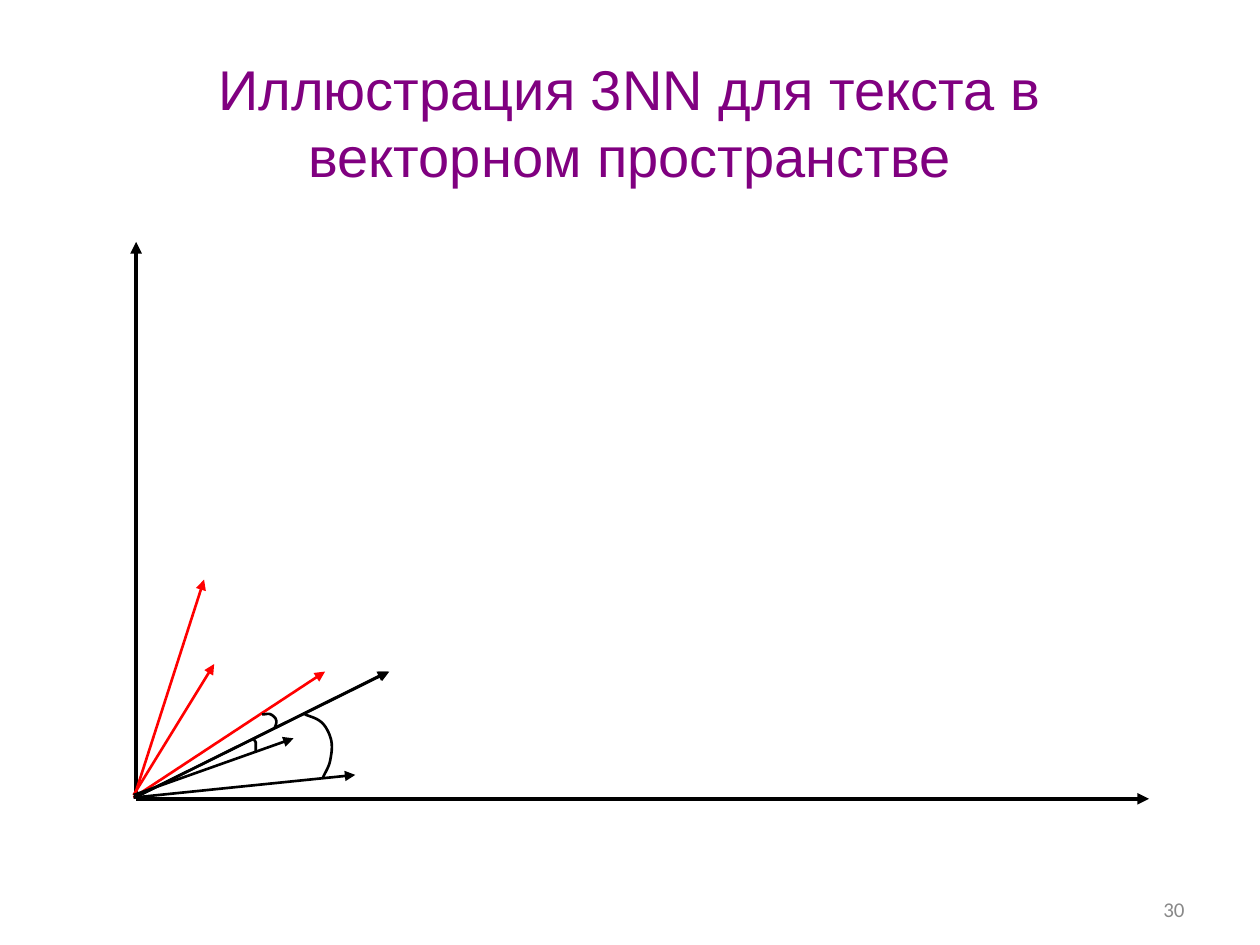
from lxml import etree
from pptx import Presentation
from pptx import util as u
from pptx.dml.color import RGBColor
from pptx.enum import shapes, text
from pptx.oxml.ns import qn

COLORS = {"title": "800080", "black": "000000", "red": "FF0000", "number": "898989"}
STEPS = 12  # straight pieces per curve segment

prs = Presentation()
prs.slide_width, prs.slide_height = u.Inches(10), u.Inches(7.5)
slide = prs.slides.add_slide(prs.slide_layouts[6])


def add_text(words, box, size, font, color, align, anchor):
    tf = slide.shapes.add_textbox(*map(u.Inches, box)).text_frame
    tf.word_wrap = True
    tf.vertical_anchor = anchor
    p = tf.paragraphs[0]
    p.text = words
    p.alignment = align
    p.font.size = u.Pt(size)
    p.font.name = font
    p.font.color.rgb = RGBColor.from_string(COLORS[color])


def add_arrow(start, end, color, width):
    line = slide.shapes.add_connector(
        shapes.MSO_CONNECTOR.STRAIGHT, *map(u.Inches, (*start, *end)))
    line.line.color.rgb = RGBColor.from_string(COLORS[color])
    line.line.width = u.Pt(width)
    etree.SubElement(line.line._get_or_add_ln(), qn("a:tailEnd"), type="triangle")
    etree.SubElement(line._element.spPr, qn("a:effectLst"))


add_text("30", (7.17, 7.08, 2.33, 0.27), 12, "Calibri", "number",
         text.PP_ALIGN.RIGHT, text.MSO_ANCHOR.MIDDLE)
add_text("Иллюстрация 3NN для текста в векторном пространстве",
         (0.5, 0.3, 9, 1.25), 32, "Arial", "title",
         text.PP_ALIGN.CENTER, text.MSO_ANCHOR.BOTTOM)

# Axes
add_arrow((1.08, 6.33), (1.08, 1.92), "black", 2.25)
add_arrow((1.08, 6.34), (9.12, 6.34), "black", 2.25)

# Document vectors by class, then the query vector, drawn twice for weight
vectors = [
    ((1.07, 6.31), (1.62, 4.6), "red"),
    ((1.06, 6.31), (1.7, 5.27), "red"),
    ((1.06, 6.33), (2.58, 5.33), "red"),
    ((1.06, 6.33), (2.82, 6.15), "black"),
    ((1.06, 6.31), (2.33, 5.86), "black"),
    ((1.07, 6.33), (3.08, 5.33), "black"),
    ((1.07, 6.33), (3.09, 5.33), "black"),
]
for start, end, color in vectors:
    add_arrow(start, end, color, 1.5)

# Angle marks: a start point, then cubic segments (two controls and an end)
angle_marks = [
    [(2.01, 5.86), (2.02, 5.87), (2.02, 5.88), (2.03, 5.89),
     (2.03, 5.91), (2.03, 5.94), (2.03, 5.97)],
    [(2.08, 5.67), (2.11, 5.67), (2.13, 5.66), (2.15, 5.67),
     (2.17, 5.68), (2.19, 5.7), (2.19, 5.71),
     (2.2, 5.73), (2.19, 5.75), (2.18, 5.78)],
    [(2.42, 5.67), (2.47, 5.69), (2.52, 5.7), (2.56, 5.74),
     (2.59, 5.77), (2.62, 5.83), (2.63, 5.88),
     (2.64, 5.93), (2.63, 5.99), (2.62, 6.04),
     (2.61, 6.09), (2.58, 6.13), (2.56, 6.18)],
]
for mark in angle_marks:
    points = [tuple(map(u.Inches, mark[0]))]
    for i in range(0, len(mark) - 1, 3):
        for step in range(1, STEPS + 1):
            t = step / STEPS
            weights = ((1 - t) ** 3, 3 * t * (1 - t) ** 2, 3 * t ** 2 * (1 - t), t ** 3)
            points.append(tuple(
                u.Inches(sum(w * c for w, c in zip(weights, axis)))
                for axis in zip(*mark[i:i + 4])))
    builder = slide.shapes.build_freeform(*points[0])
    builder.add_line_segments(points[1:], close=False)
    sp = builder.convert_to_shape()
    sp.shadow.inherit = False
    sp.fill.background()
    sp.line.color.rgb = RGBColor.from_string(COLORS["black"])
    sp.line.width = u.Pt(1.5)

prs.save("out.pptx")
